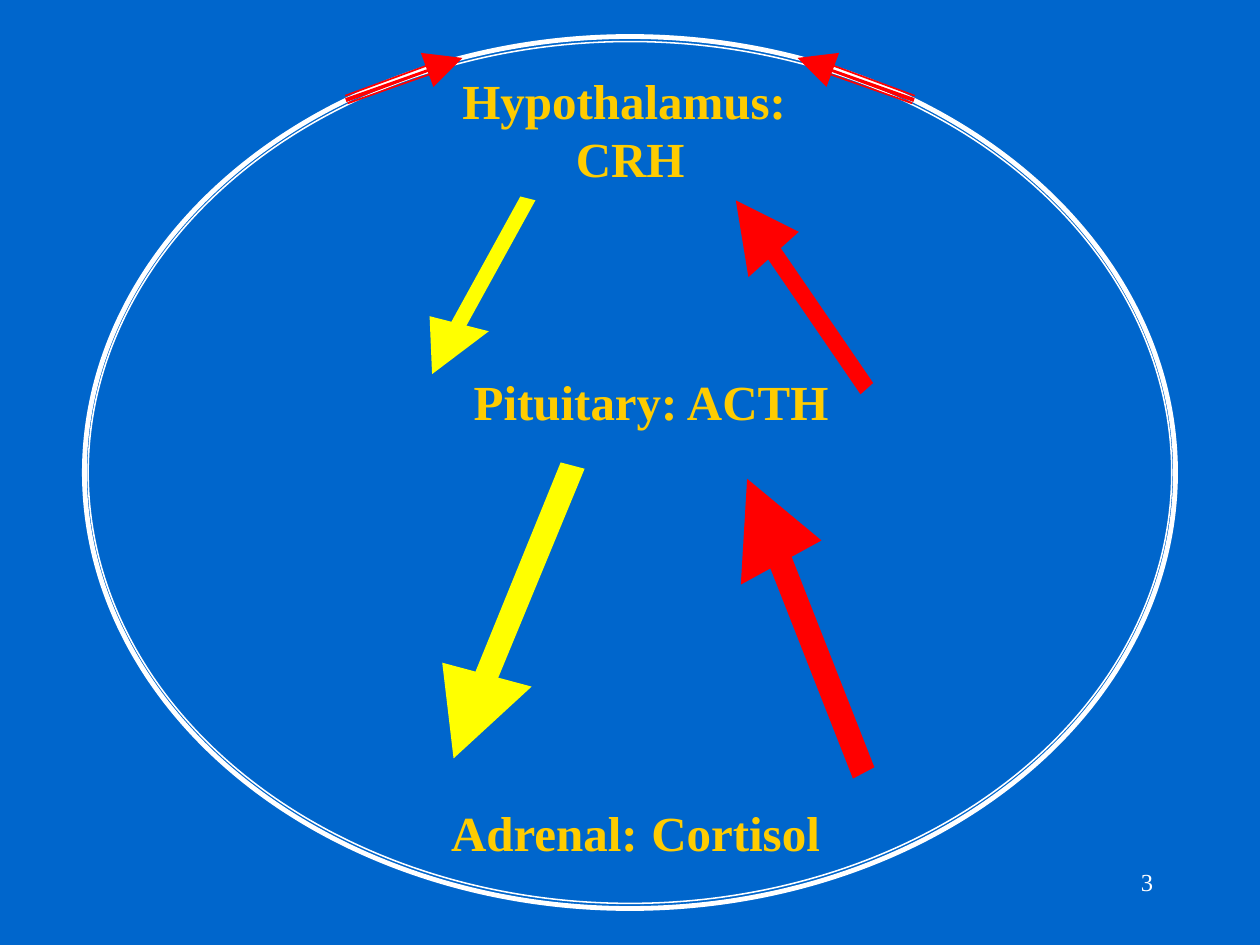
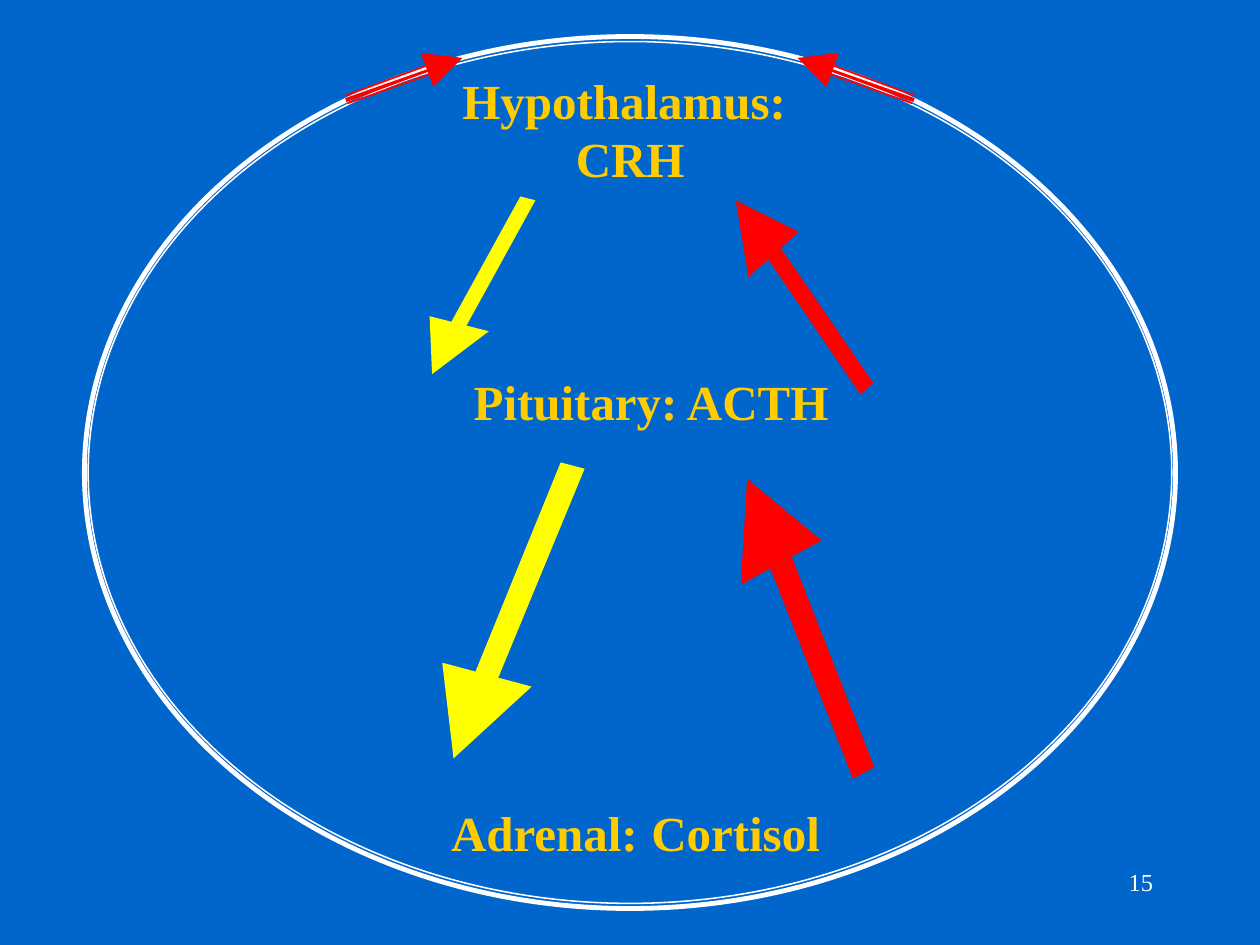
from dataclasses import dataclass
from lxml import etree
from pptx import Presentation
from pptx import util as u
from pptx.dml.color import RGBColor
from pptx.enum import shapes, text
from pptx.oxml.ns import qn


@dataclass(frozen=True)
class Theme:
    back: RGBColor = RGBColor(0x00, 0x66, 0xCC)
    ring: RGBColor = RGBColor(0xFF, 0xFF, 0xFF)
    label: RGBColor = RGBColor(0xFF, 0xCC, 0x00)
    down: RGBColor = RGBColor(0xFF, 0xFF, 0x00)
    up: RGBColor = RGBColor(0xFF, 0x00, 0x00)
    font: str = "Times New Roman"
    big: int = 28
    small: int = 14


theme = Theme()
WIDE = 10

# left, top, width, height, line width
rings = [(0.67, 0.29, 8.66, 6.92, 2.75), (0.70, 0.33, 8.60, 6.84, 0.88)]

# text, left, top, width
labels = [
    ("Hypothalamus:", 3.67, 0.56, 2.67),
    ("CRH", 4.57, 1.02, 0.9),
    ("Pituitary: ACTH", 3.76, 2.95, 2.84),
    ("Adrenal:", 3.58, 6.37, 1.59),
    ("Cortisol", 5.17, 6.37, 1.36),
]

# colour, shaft corners, head corners
arrows = [
    (theme.down, [(4.25, 1.59), (4.13, 1.56), (3.58, 2.56), (3.70, 2.59)],
     [(3.41, 2.51), (3.43, 2.97), (3.88, 2.63)]),
    (theme.down, [(4.64, 3.72), (4.45, 3.67), (3.77, 5.34), (3.95, 5.39)],
     [(3.51, 5.26), (3.60, 6.02), (4.22, 5.45)]),
    (theme.up, [(6.77, 6.18), (6.94, 6.09), (6.28, 4.41), (6.11, 4.50)],
     [(6.52, 4.29), (5.93, 3.80), (5.88, 4.64)]),
    (theme.up, [(6.83, 3.13), (6.93, 3.04), (6.19, 1.96), (6.09, 2.05)],
     [(6.34, 1.84), (5.84, 1.59), (5.94, 2.20)]),
]

# Feedback mark on the right of the ring; the left one is its mirror
edges = [[(7.24, 0.82), (6.59, 0.59)], [(7.26, 0.76), (6.61, 0.52)]]
tip = [(6.66, 0.42), (6.33, 0.46), (6.56, 0.69)]
bar = [(7.25, 0.81), (7.26, 0.78), (6.61, 0.55), (6.60, 0.57)]


def fill_path(slide, points, color):
    dots = [(u.Inches(x), u.Inches(y)) for x, y in points]
    pen = slide.shapes.build_freeform(*dots[0])
    pen.add_line_segments(dots[1:], close=True)
    shape = pen.convert_to_shape()
    shape.shadow.inherit = False
    shape.fill.solid()
    shape.fill.fore_color.rgb = color
    shape.line.fill.background()


def add_text(slide, words, box, size, color):
    frame = slide.shapes.add_textbox(*map(u.Inches, box)).text_frame
    frame.text = words
    font = frame.paragraphs[0].runs[0].font
    font.name, font.size = theme.font, u.Pt(size)
    font.color.rgb = color
    return frame


deck = Presentation()
deck.slide_width, deck.slide_height = u.Inches(WIDE), u.Inches(7.5)
ground = deck.slide_master.background.fill
ground.solid()
ground.fore_color.rgb = theme.back

for number in ("3", "15"):
    slide = deck.slides.add_slide(deck.slide_layouts[6])

    for *box, weight in rings:
        ring = slide.shapes.add_shape(shapes.MSO_SHAPE.OVAL, *map(u.Inches, box))
        ring.shadow.inherit = False
        ring.fill.background()
        ring.line.color.rgb = theme.ring
        ring.line.width = u.Pt(weight)

    for words, left, top, width in labels:
        frame = add_text(slide, words, (left, top, width, 0.47), theme.big, theme.label)
        frame.margin_left = frame.margin_right = 0
        frame.margin_top = frame.margin_bottom = 0
        frame.word_wrap = False
        frame.auto_size = text.MSO_AUTO_SIZE.SHAPE_TO_FIT_TEXT
        frame.paragraphs[0].runs[0].font.bold = True

    for start, sign in ((0, 1), (WIDE, -1)):
        for edge in edges:
            ends = [u.Inches(v) for x, y in edge for v in (start + sign * x, y)]
            line = slide.shapes.add_connector(shapes.MSO_CONNECTOR.STRAIGHT, *ends)
            line.line.color.rgb = theme.up
            line.line.width = u.Pt(1)
            etree.SubElement(line._element.spPr, qn("a:effectLst"))
        for part in (tip, bar):
            fill_path(slide, [(start + sign * x, y) for x, y in part], theme.up)

    for color, shaft, head in arrows:
        fill_path(slide, shaft, color)
        fill_path(slide, head, color)

    frame = add_text(slide, number, (7.17, 6.83, 2.08, 0.5), theme.small, theme.ring)
    frame.word_wrap = True
    frame.paragraphs[0].alignment = text.PP_ALIGN.RIGHT

deck.save("out.pptx")
